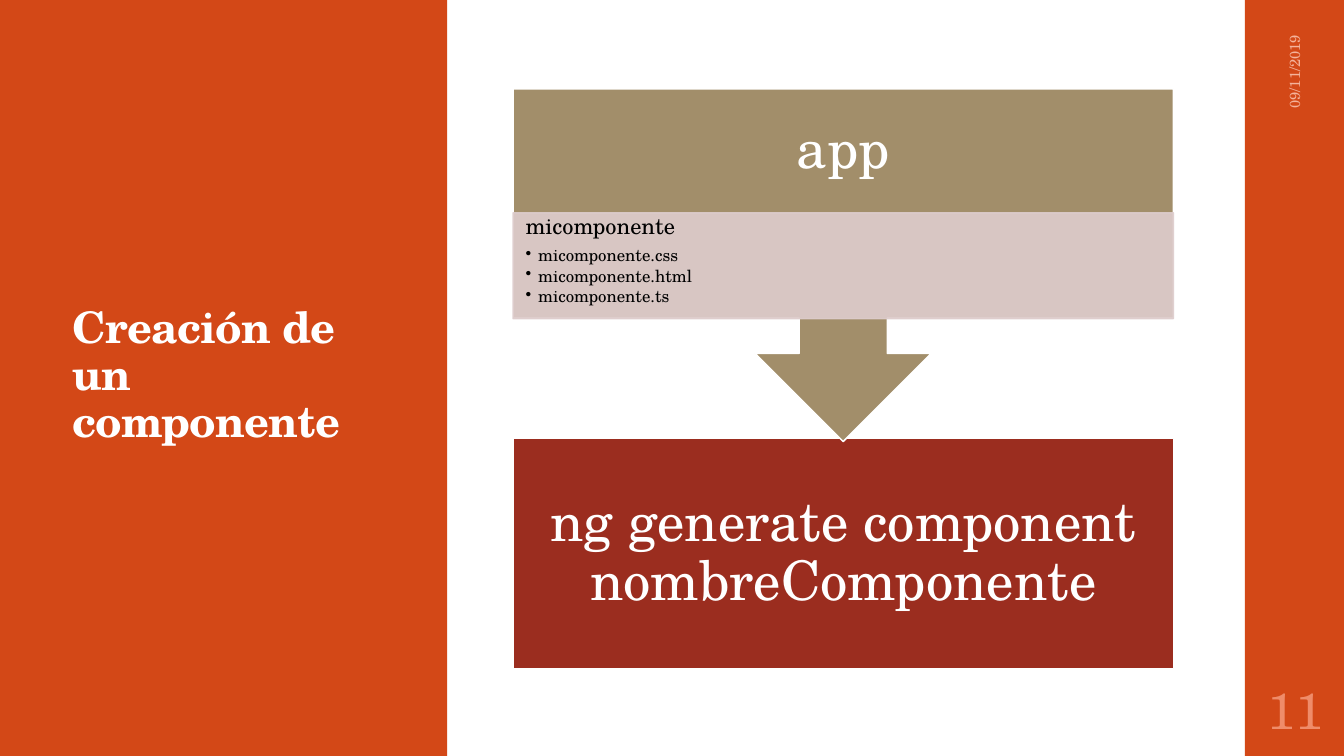
from dataclasses import dataclass

from pptx import Presentation
from pptx.dml.color import RGBColor
from pptx.enum.shapes import MSO_SHAPE as Preset
from pptx.enum.text import MSO_ANCHOR as Anchor, MSO_AUTO_SIZE as AutoSize, PP_ALIGN as Align
from pptx.oxml.ns import qn
from pptx.oxml.xmlchemy import OxmlElement
from pptx.util import Pt


@dataclass(frozen=True)
class Theme:
    font: str = "TeX Gyre Schola"
    orange: str = "D34817"
    brown: str = "A28E6A"
    red: str = "9B2D1F"
    pink: str = "DECDCD"
    white: str = "FFFFFF"
    black: str = "000000"
    date: str = "F4B39B"
    number: str = "EF8C6A"
    title_size: float = 31
    block_size: float = 39
    number_size: float = 36
    folder_size: float = 16
    file_size: float = 12
    date_size: float = 10.5
    outline: float = 1.1


THEME = Theme()
DIAGRAM_LEFT, DIAGRAM_WIDTH = 366.5, 471.6
CALLOUT_TOP, CALLOUT_HEIGHT = 63.4, 252
HEADING_HEIGHT, FILES_HEIGHT = 88.6, 75.6
FILES_TOP = CALLOUT_TOP + HEADING_HEIGHT
COMMAND_TOP, COMMAND_HEIGHT = 313.2, 164.2


def points(*lengths):
    return [Pt(length) for length in lengths]


def set_opacity(fill, percent):
    alpha = OxmlElement("a:alpha")
    alpha.set("val", str(percent * 1000))
    fill.find(".//" + qn("a:srgbClr")).append(alpha)


def add_block(slide, preset, box, color, outline=None, opacity=100):
    shape = slide.shapes.add_shape(preset, *points(*box))
    shape.shadow.inherit = False
    shape.fill.solid()
    shape.fill.fore_color.rgb = RGBColor.from_string(color)
    if outline:
        shape.line.color.rgb = RGBColor.from_string(outline)
        shape.line.width = Pt(THEME.outline)
    else:
        shape.line.fill.background()
    if opacity < 100:
        properties = shape.element.spPr
        set_opacity(properties.find(qn("a:solidFill")), opacity)
        set_opacity(properties.find(qn("a:ln")), opacity)
    return shape


def add_text_box(slide, box):
    return slide.shapes.add_textbox(*points(*box))


def set_frame(shape, insets, anchor=Anchor.MIDDLE):
    frame = shape.text_frame
    frame.word_wrap = True
    frame.auto_size = AutoSize.NONE
    frame.vertical_anchor = anchor
    frame.margin_left, frame.margin_top, frame.margin_right, frame.margin_bottom = points(*insets)
    return frame


def format_paragraph(paragraph, text, size, color, align=Align.LEFT, after=0, bold=False):
    paragraph.text = text
    paragraph.alignment = align
    paragraph.line_spacing = 0.9
    paragraph.space_after = Pt(after)
    font = paragraph.font
    font.name = THEME.font
    font.size = Pt(size)
    font.bold = bold
    font.color.rgb = RGBColor.from_string(color)


def add_bullet(paragraph, indent):
    properties = paragraph._p.get_or_add_pPr()
    properties.set("marL", str(Pt(indent)))
    properties.set("indent", str(-Pt(indent)))
    bullet = OxmlElement("a:buChar")
    bullet.set("char", "•")
    properties.find(qn("a:defRPr")).addprevious(bullet)


def write_label(shape, text, size, color, insets, align=Align.CENTER):
    frame = set_frame(shape, insets)
    format_paragraph(frame.paragraphs[0], text, size, color, align)


def write_title(slide, text):
    title = slide.shapes.title
    title.left, title.top, title.width, title.height = points(44.6, 65.5, 213.8, 408.2)
    frame = set_frame(title, (7.2, 2.2, 7.2, 3.6))
    paragraph = frame.paragraphs[0]
    format_paragraph(paragraph, text, THEME.title_size, THEME.white, bold=True)
    paragraph._p.pPr.find(qn("a:defRPr")).set("spc", "-50")
    panel = add_block(slide, Preset.RECTANGLE, (0, 0, 319.5, 540), THEME.orange)
    title.element.addprevious(panel.element)


def add_side_bar(slide, date, number):
    add_block(slide, Preset.RECTANGLE, (889.2, 0, 70.8, 540), THEME.orange)
    date_box = add_text_box(slide, (850.3, 78.5, 149.8, 28.8))
    date_box.rotation = 270
    write_label(date_box, date, THEME.date_size, THEME.date, (7.2, 3.6, 7.2, 3.6), Align.RIGHT)
    number_box = add_text_box(slide, (889.2, 486, 72, 46.8))
    write_label(number_box, number, THEME.number_size, THEME.number, (3.6,) * 4)


def add_command(slide, text):
    box = (DIAGRAM_LEFT, COMMAND_TOP, DIAGRAM_WIDTH, COMMAND_HEIGHT)
    block = add_block(slide, Preset.RECTANGLE, box, THEME.red, THEME.white)
    write_label(block, text, THEME.block_size, THEME.white, (21.6,) * 4)


def add_callout(slide, heading):
    box = (DIAGRAM_LEFT, CALLOUT_TOP, DIAGRAM_WIDTH, CALLOUT_HEIGHT)
    callout = add_block(slide, Preset.UP_ARROW_CALLOUT, box, THEME.brown, THEME.white)
    callout.rotation = 180
    label = add_text_box(slide, (DIAGRAM_LEFT, CALLOUT_TOP, DIAGRAM_WIDTH, HEADING_HEIGHT))
    write_label(label, heading, THEME.block_size, THEME.white, (21.6,) * 4)


def add_file_list(slide, folder, files):
    box = (DIAGRAM_LEFT, FILES_TOP, DIAGRAM_WIDTH, FILES_HEIGHT)
    block = add_block(slide, Preset.RECTANGLE, box, THEME.pink, THEME.pink, opacity=90)
    frame = set_frame(block, (8.9, 1.6, 8.9, 1.6), Anchor.TOP)
    format_paragraph(frame.paragraphs[0], folder, THEME.folder_size, THEME.black, after=5.6)
    for file in files:
        paragraph = frame.add_paragraph()
        format_paragraph(paragraph, file, THEME.file_size, THEME.black, after=1.8)
        paragraph.level = 1
        add_bullet(paragraph, 9)


def main():
    presentation = Presentation()
    presentation.slide_width, presentation.slide_height = points(960, 540)
    slide = presentation.slides.add_slide(presentation.slide_layouts[5])
    write_title(slide, "Creación de un componente")
    add_side_bar(slide, "09/11/2019", "11")
    add_command(slide, "ng generate component nombreComponente")
    add_callout(slide, "app")
    add_file_list(slide, "micomponente", [f"micomponente.{suffix}" for suffix in ("css", "html", "ts")])
    presentation.save("out.pptx")


if __name__ == "__main__":
    main()
